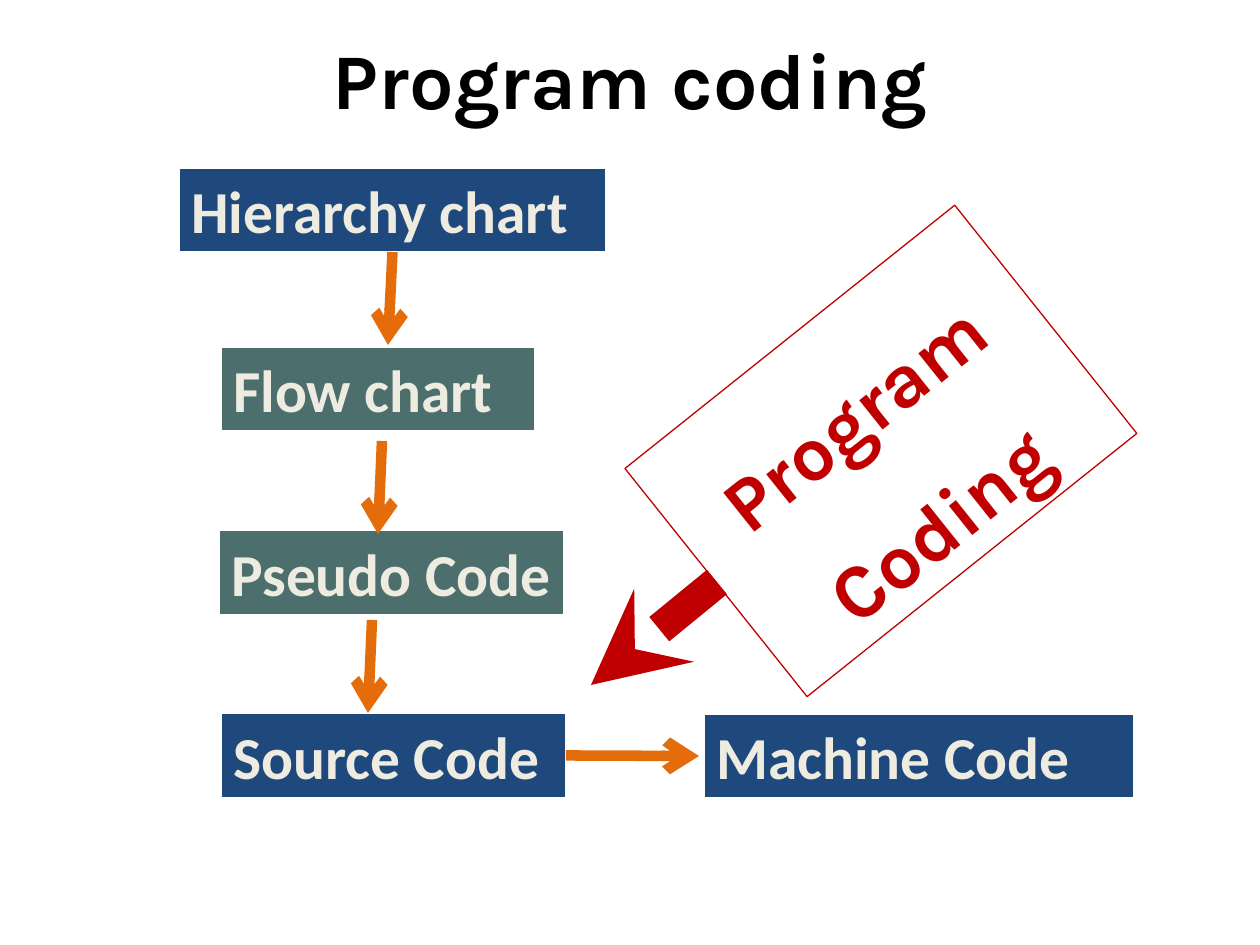
from lxml import etree
from pptx import Presentation
from pptx import util as u
from pptx.dml.color import RGBColor
from pptx.enum import shapes, text
from pptx.oxml import ns

PX = 914400 / 126  # EMU in one px

BLACK = RGBColor(0x00, 0x00, 0x00)
WHITE = RGBColor(0xFF, 0xFF, 0xFF)
CREAM = RGBColor(0xEE, 0xEC, 0xE1)
NAVY = RGBColor(0x1F, 0x49, 0x7D)
TEAL = RGBColor(0x4C, 0x6E, 0x6C)
ORANGE = RGBColor(0xE4, 0x6C, 0x0A)
RED = RGBColor(0xC0, 0x00, 0x00)

TOP, LEFT, BOTTOM, RIGHT = range(4)

# label, left, top, width, height, fill
STEPS = [
    ("Hierarchy chart", 179, 168, 427, 84, NAVY),
    ("Flow chart", 221, 347, 314, 84, TEAL),
    ("Pseudo Code", 219, 530, 345, 85, TEAL),
    ("Source Code", 221, 713, 345, 85, NAVY),
    ("Machine Code", 704, 714, 430, 84, NAVY),
]


def px(value):
    return u.Emu(round(value * PX))


def set_text(shape, wording, font_name, size, color, alignment):
    frame = shape.text_frame
    frame.text = wording
    frame.word_wrap = True
    frame.auto_size = text.MSO_AUTO_SIZE.NONE
    frame.vertical_anchor = text.MSO_ANCHOR.MIDDLE
    paragraph = frame.paragraphs[0]
    paragraph.alignment = alignment
    font = paragraph.font
    font.name, font.size, font.bold = font_name, u.Pt(size), True
    font.color.rgb = color
    return paragraph


def add_title(slide, wording):
    title = slide.shapes.title
    title.left, title.top, title.width, title.height = map(px, (0, 24, 1260, 108))
    set_text(title, wording, "Karla", 45, BLACK, text.PP_ALIGN.CENTER)


def add_rectangle(slide, left, top, width, height, line_color):
    shape = slide.shapes.add_shape(
        shapes.MSO_SHAPE.RECTANGLE, *map(px, (left, top, width, height)))
    shape.shadow.inherit = False
    shape.line.color.rgb = line_color
    shape.line.width = u.Pt(0.75)
    return shape


def add_step(slide, label, left, top, width, height, fill):
    shape = add_rectangle(slide, left, top, width, height, WHITE)
    shape.fill.solid()
    shape.fill.fore_color.rgb = fill
    set_text(shape, label, "Calibri", 34, CREAM, text.PP_ALIGN.LEFT)
    return shape


def add_callout(slide, wording):
    shape = add_rectangle(slide, 670, 305, 422, 292, RED)
    shape.fill.background()
    shape.rotation = 321.4
    paragraph = set_text(shape, wording, "Karla", 44, RED, text.PP_ALIGN.CENTER)
    paragraph.line_spacing = 1.5
    return shape


def add_arrow(slide, start, end, color, width, head):
    arrow = slide.shapes.add_connector(
        shapes.MSO_CONNECTOR.STRAIGHT, *map(px, (*start, *end)))
    arrow.line.color.rgb = color
    arrow.line.width = u.Pt(width)
    etree.SubElement(arrow.line._get_or_add_ln(), ns.qn("a:tailEnd"), type=head)
    etree.SubElement(arrow._element.spPr, ns.qn("a:effectLst"))
    return arrow


def main():
    presentation = Presentation()
    presentation.slide_width, presentation.slide_height = px(1260), px(945)
    slide = presentation.slides.add_slide(presentation.slide_layouts[5])
    add_title(slide, "Program coding")

    # Boxes of the flow
    boxes = {step[0]: add_step(slide, *step) for step in STEPS}

    # Arrows down the left column, each a little further left
    down_arrows = []
    for index, top in enumerate((252, 441, 620)):
        x = 392 - 10 * index
        down_arrows.append(
            add_arrow(slide, (x, top), (x - 4, top + 93), ORANGE, 6, "arrow"))
    down_arrows[0].begin_connect(boxes["Hierarchy chart"], BOTTOM)

    # Arrow from source code to machine code
    across = add_arrow(slide, (566, 756), (699, 756), ORANGE, 6, "arrow")
    across.begin_connect(boxes["Source Code"], RIGHT)

    # Tilted callout and its pointer
    callout = add_callout(slide, "Program Coding")
    callout_side = (717, 582)
    pointer = add_arrow(slide, callout_side, (591, 685), RED, 18, "stealth")
    pointer.begin_connect(callout, LEFT)
    # Joining ignores the tilt, so put the start back on the tilted side
    pointer.begin_x, pointer.begin_y = map(px, callout_side)

    presentation.save("out.pptx")


if __name__ == "__main__":
    main()
